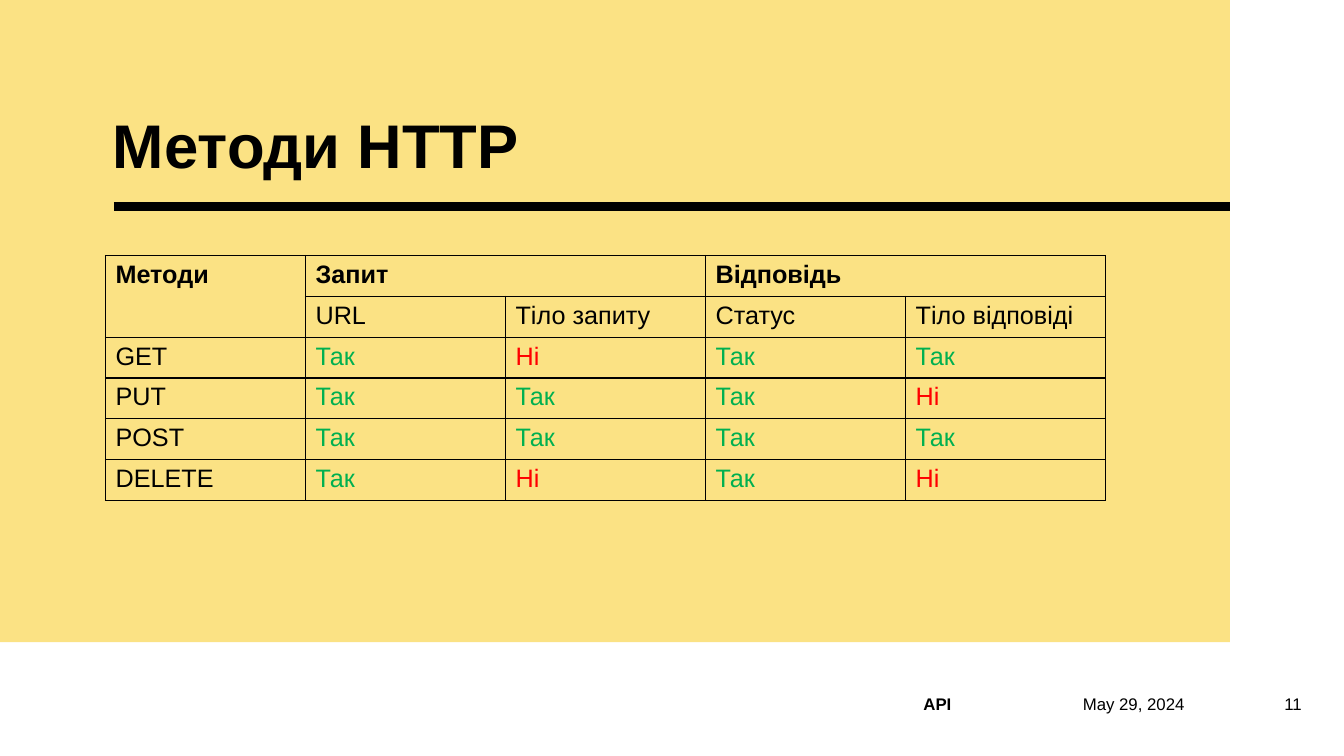
from dataclasses import dataclass

import lxml.etree
import pptx
import pptx.dml.color
import pptx.enum.shapes
import pptx.enum.text
import pptx.oxml.ns
import pptx.presentation
import pptx.slide
import pptx.table
import pptx.text.text
import pptx.util

SLIDE_WIDTH = pptx.util.Inches(13.33)
SLIDE_HEIGHT = pptx.util.Inches(7.5)
FONT = "Arial"
COLORS = {"ink": "000000", "panel": "FBE284", "yes": "00B050", "no": "FF0000"}
ANSWER_COLORS = {"Так": "yes", "Ні": "no"}
ANCHOR = pptx.enum.text.MSO_ANCHOR
ALIGN = pptx.enum.text.PP_ALIGN


@dataclass(frozen=True)
class Area:
    """Percentages of the slide's width and height."""
    left: float
    top: float
    width: float
    height: float

    def box(self) -> tuple[int, int, int, int]:
        return (across(self.left), down(self.top),
                across(self.width), down(self.height))


@dataclass(frozen=True)
class FooterItem:
    text: str
    area: Area
    bold: bool = False
    align: ALIGN = ALIGN.LEFT
    anchor: ANCHOR = ANCHOR.MIDDLE
    inset: float = 0.1


PANEL = Area(0, 0, 91.52, 84.93)
TITLE = Area(8.4, 14.53, 82.82, 9.47)
METHODS = Area(7.85, 33.8, 74.42, 32.4)
RULE_LEFT, RULE_TOP = 8.48, 27.3

FOOTER = [
    FooterItem("May 29, 2024", Area(80.57, 91.73, 12.53, 2.67),
               anchor=ANCHOR.TOP, inset=0),
    FooterItem("11", Area(94.22, 91.73, 3.38, 2.67), align=ALIGN.RIGHT),
    FooterItem("API", Area(67.97, 91.73, 12, 2.67), bold=True),
]

METHOD_ROWS = [
    ["Методи", "Запит", "", "Відповідь", ""],
    ["", "URL", "Тіло запиту", "Статус", "Тіло відповіді"],
    ["GET", "Так", "Ні", "Так", "Так"],
    ["PUT", "Так", "Так", "Так", "Ні"],
    ["POST", "Так", "Так", "Так", "Так"],
    ["DELETE", "Так", "Ні", "Так", "Ні"],
]
MERGES = [((0, 0), (1, 0)), ((0, 1), (0, 2)), ((0, 3), (0, 4))]


def across(percent: float) -> int:
    return round(SLIDE_WIDTH * percent / 100)


def down(percent: float) -> int:
    return round(SLIDE_HEIGHT * percent / 100)


def rgb(name: str) -> pptx.dml.color.RGBColor:
    return pptx.dml.color.RGBColor.from_string(COLORS[name])


def write(frame: pptx.text.text.TextFrame, text: str, size: float,
          color: str = "ink", bold: bool = False,
          align: ALIGN = ALIGN.LEFT) -> None:
    frame.text = text
    paragraph = frame.paragraphs[0]
    paragraph.alignment = align
    paragraph.font.name = FONT
    paragraph.font.size = pptx.util.Pt(size)
    paragraph.font.bold = bold
    paragraph.font.color.rgb = rgb(color)


def set_insets(frame: pptx.text.text.TextFrame, sides: float,
               ends: float) -> None:
    frame.margin_left = frame.margin_right = pptx.util.Inches(sides)
    frame.margin_top = frame.margin_bottom = pptx.util.Inches(ends)


def draw_panel(slide: pptx.slide.Slide) -> None:
    panel = slide.shapes.add_shape(
        pptx.enum.shapes.MSO_SHAPE.RECTANGLE, *PANEL.box())
    panel.shadow.inherit = False
    panel.fill.solid()
    panel.fill.fore_color.rgb = rgb("panel")
    panel.line.fill.background()


def draw_rule(slide: pptx.slide.Slide) -> None:
    rule = slide.shapes.add_connector(
        pptx.enum.shapes.MSO_CONNECTOR.STRAIGHT,
        across(RULE_LEFT), down(RULE_TOP), across(PANEL.width), down(RULE_TOP))
    rule.line.color.rgb = rgb("ink")
    rule.line.width = pptx.util.Pt(6)
    lxml.etree.SubElement(rule.element.spPr, pptx.oxml.ns.qn("a:effectLst"))


def draw_borders(cell: pptx.table._Cell) -> None:
    properties = cell._tc.get_or_add_tcPr()
    for side in ("lnL", "lnR", "lnT", "lnB"):
        border = lxml.etree.SubElement(
            properties, pptx.oxml.ns.qn(f"a:{side}"), w=str(pptx.util.Pt(1)))
        fill = lxml.etree.SubElement(border, pptx.oxml.ns.qn("a:solidFill"))
        lxml.etree.SubElement(
            fill, pptx.oxml.ns.qn("a:srgbClr"), val=COLORS["ink"])


def draw_methods(slide: pptx.slide.Slide) -> None:
    methods = slide.shapes.add_table(
        len(METHOD_ROWS), len(METHOD_ROWS[0]), *METHODS.box()).table
    methods.first_row = False
    methods.horz_banding = False
    for row_index, row in enumerate(METHOD_ROWS):
        for column_index, text in enumerate(row):
            cell = methods.cell(row_index, column_index)
            write(cell.text_frame, text, 18,
                  ANSWER_COLORS.get(text, "ink"), row_index == 0)
            draw_borders(cell)
            cell.fill.background()
    for first, last in MERGES:
        methods.cell(*first).merge(methods.cell(*last))


def draw_title(slide: pptx.slide.Slide) -> None:
    title = slide.shapes.title
    title.element.getparent().append(title.element)
    title.left, title.top, title.width, title.height = TITLE.box()
    frame = title.text_frame
    frame.auto_size = pptx.enum.text.MSO_AUTO_SIZE.NONE
    frame.vertical_anchor = ANCHOR.BOTTOM
    set_insets(frame, 0, 0)
    write(frame, "Методи HTTP", 44, bold=True)
    frame.paragraphs[0].line_spacing = 0.9


def draw_footer_item(slide: pptx.slide.Slide, item: FooterItem) -> None:
    frame = slide.shapes.add_textbox(*item.area.box()).text_frame
    frame.word_wrap = True
    frame.vertical_anchor = item.anchor
    set_insets(frame, item.inset, item.inset / 2)
    write(frame, item.text, 12, bold=item.bold, align=item.align)


def main() -> None:
    presentation = pptx.Presentation()
    presentation.slide_width = SLIDE_WIDTH
    presentation.slide_height = SLIDE_HEIGHT
    slide = presentation.slides.add_slide(presentation.slide_layouts[5])
    draw_panel(slide)
    draw_rule(slide)
    draw_methods(slide)
    draw_title(slide)
    for item in FOOTER:
        draw_footer_item(slide, item)
    presentation.save("out.pptx")


if __name__ == "__main__":
    main()
